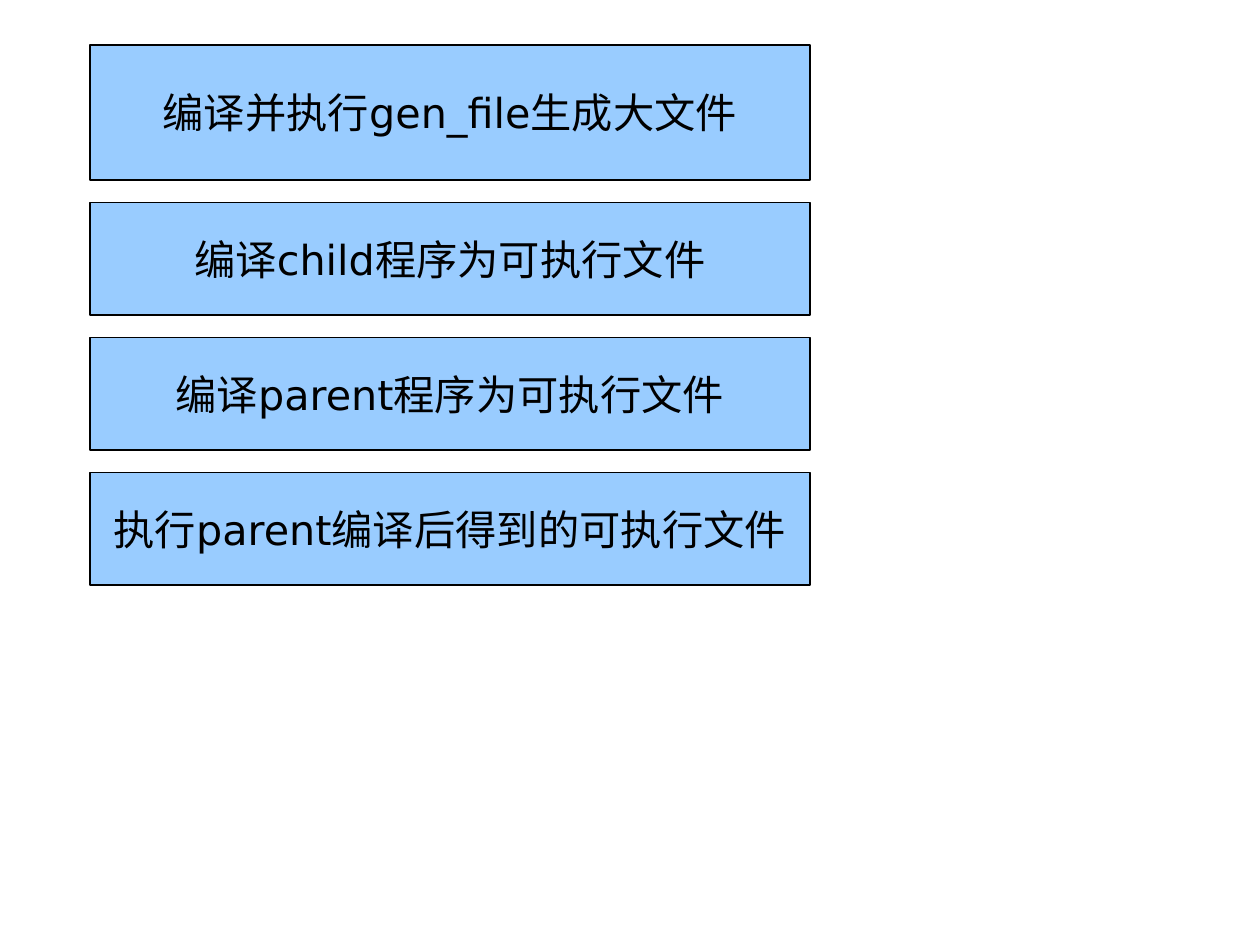
"""Draw four stacked process steps for building and running the programs."""
from dataclasses import dataclass

from pptx import Presentation
from pptx import util as u
from pptx.dml import color
from pptx.enum import shapes, text
from pptx.slide import Slide

LEFT, TOP, WIDTH, GAP = 2, 1, 16, 0.5


@dataclass(frozen=True)
class Step:
    label: str
    height: float = 2.5


STEPS = [
    Step("编译并执行gen_file生成大文件", height=3),
    Step("编译child程序为可执行文件"),
    Step("编译parent程序为可执行文件"),
    Step("执行parent编译后得到的可执行文件"),
]


def rgb(value: str) -> color.RGBColor:
    return color.RGBColor.from_string(value)


def draw_step(slide: Slide, step: Step, top: float) -> None:
    shape = slide.shapes.add_shape(
        shapes.MSO_SHAPE.FLOWCHART_PROCESS,
        u.Cm(LEFT), u.Cm(top), u.Cm(WIDTH), u.Cm(step.height),
    )
    shape.shadow.inherit = False
    shape.fill.solid()
    shape.fill.fore_color.rgb = rgb("99CCFF")
    shape.line.color.rgb = rgb("000000")
    shape.line.width = u.Cm(0)
    frame = shape.text_frame
    frame.word_wrap = False
    frame.vertical_anchor = text.MSO_ANCHOR.MIDDLE
    paragraph = frame.paragraphs[0]
    paragraph.text = step.label
    paragraph.alignment = text.PP_ALIGN.CENTER
    paragraph.font.name = "DejaVu Sans"
    paragraph.font.size = u.Pt(26)
    paragraph.font.color.rgb = rgb("000000")


def main() -> None:
    presentation = Presentation()
    presentation.slide_width = u.Cm(28)
    presentation.slide_height = u.Cm(21)
    slide = presentation.slides.add_slide(presentation.slide_layouts[6])
    top = TOP
    for step in STEPS:
        draw_step(slide, step, top)
        top += step.height + GAP
    presentation.save("out.pptx")


if __name__ == "__main__":
    main()
